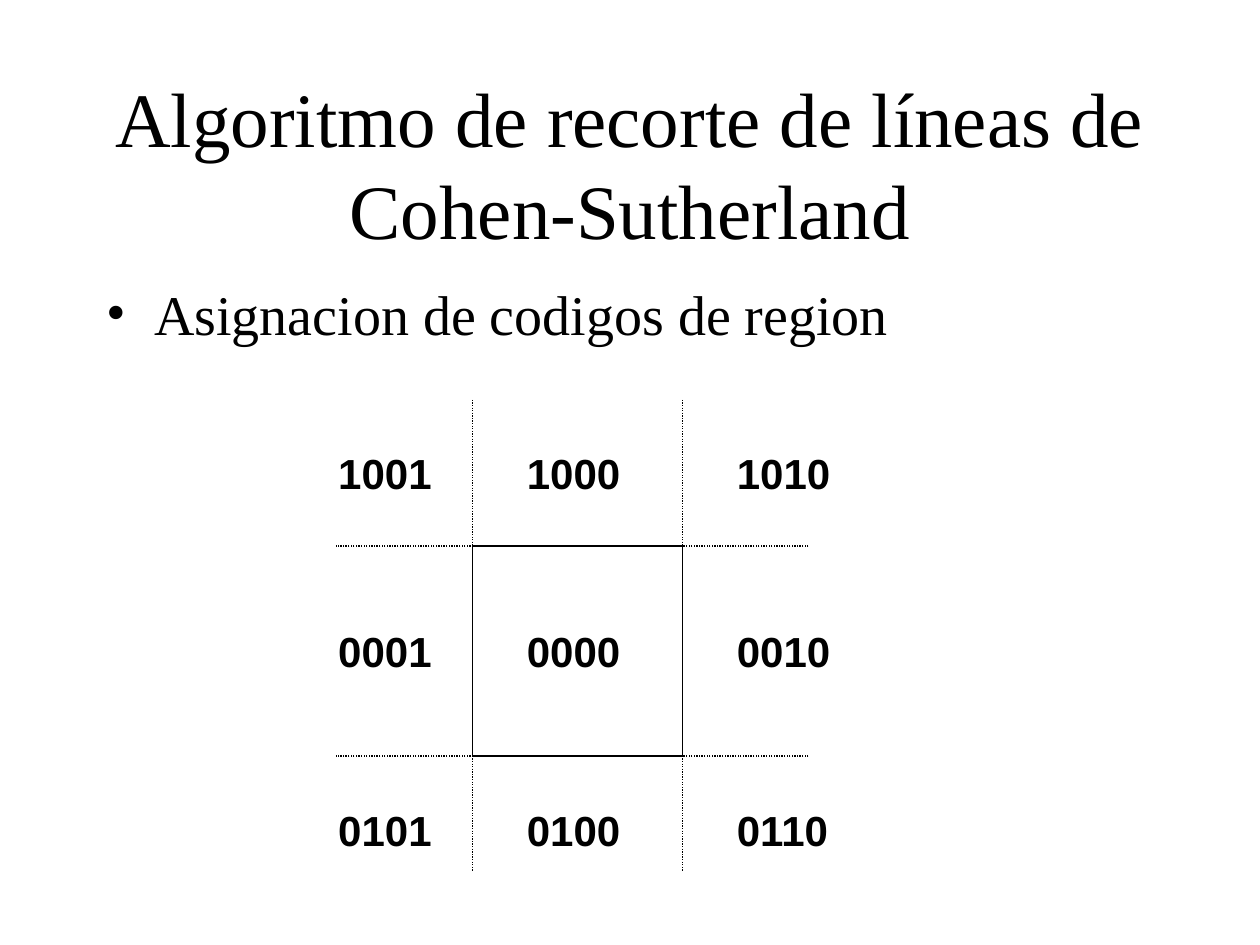
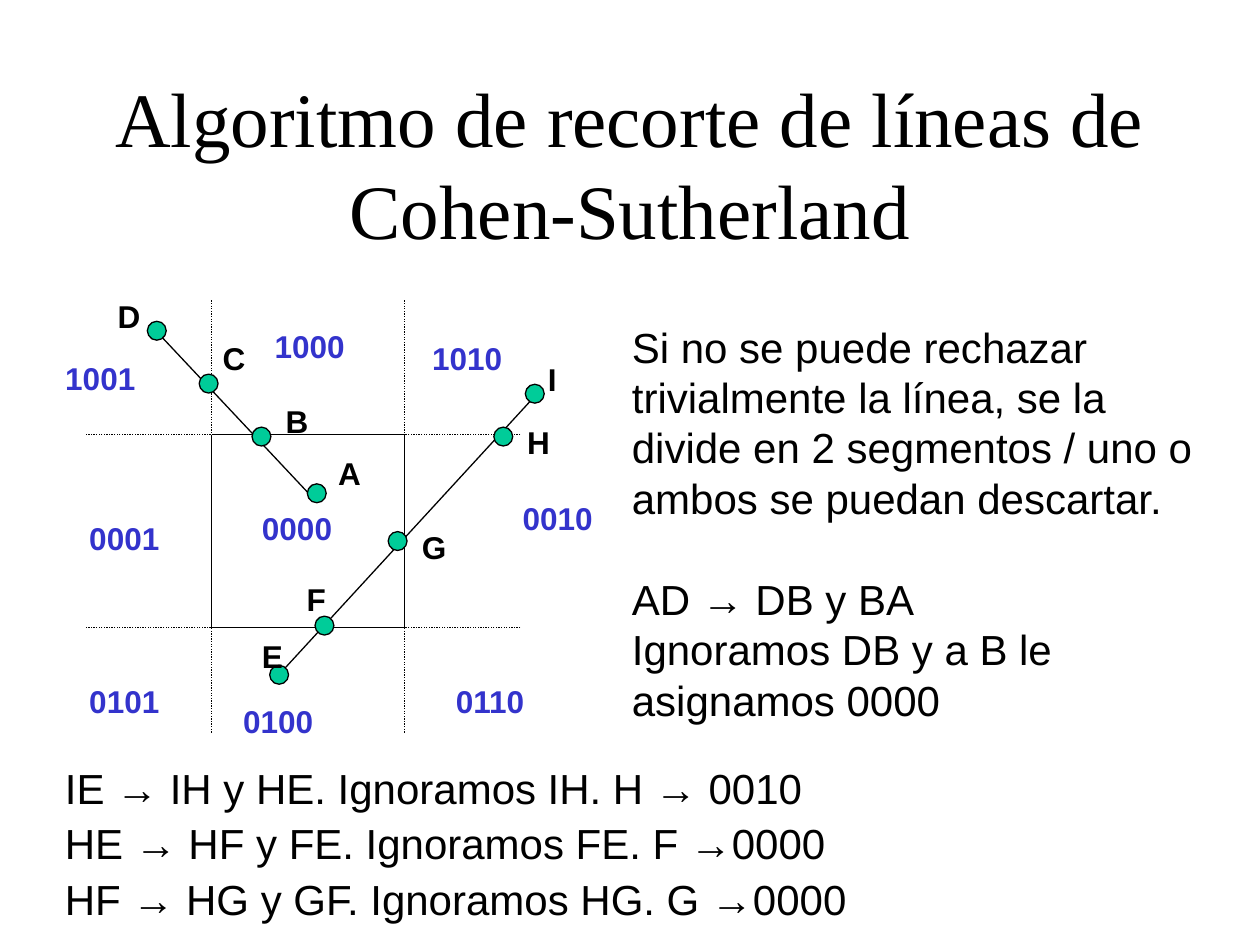
"""Builds two slides on Cohen-Sutherland line clipping."""
from lxml.etree import SubElement
from pptx import Presentation
from pptx.dml.color import RGBColor
from pptx.enum.dml import MSO_LINE
from pptx.enum.shapes import MSO_CONNECTOR, MSO_SHAPE
from pptx.enum.text import MSO_ANCHOR, PP_ALIGN
from pptx.oxml.ns import qn
from pptx.util import Pt

HUES = {"ink": "000000", "code": "3333CC", "dot": "00CC99"}
SERIF, SANS = "Times New Roman", "Arial"
TITLE = "Algoritmo de recorte de líneas de Cohen-Sutherland"
POINT = "Asignacion de codigos de region"

CODES = [["1001", "1000", "1010"],
         ["0001", "0000", "0010"],
         ["0101", "0100", "0110"]]
COLS, ROWS = (186.2, 294, 414), (252, 354, 456)

SPOTS = {"1001": (30.2, 201.6), "1000": (149.8, 183.6), "1010": (239.8, 190),
         "0001": (43.9, 293), "0000": (142.6, 287.3), "0010": (291.6, 281.5),
         "0101": (43.9, 386), "0100": (131.8, 397.4), "0110": (253.4, 386)}

# name: dot centre, label corner
ENDS = {"D": ((89.6, 189), (60.2, 166)),
        "C": ((119.2, 219.2), (120.2, 190)),
        "B": ((149.4, 249.5), (156.2, 226)),
        "A": ((181, 281.9), (186.2, 256)),
        "I": ((305.6, 225), (306, 202)),
        "H": ((287.6, 249.5), (294.2, 238)),
        "G": ((227.2, 309.2), (234, 298)),
        "F": ((185.4, 357.5), (168.2, 328)),
        "E": ((159.5, 385.6), (142.6, 360.7))}
LINES = [(90, 190, 181.4, 287.3), (306, 226, 159.1, 385.9)]
DOT = 10.8

RULE = ["Si no se puede rechazar trivialmente la línea, se la divide en 2 "
        "segmentos / uno o ambos se puedan descartar.",
        "AD → DB y BA",
        "Ignoramos DB y a B le asignamos 0000"]
STEPS = ["IE → IH y HE. Ignoramos IH. H → 0010",
         "HE → HF y FE. Ignoramos FE. F →0000",
         "HF → HG y GF. Ignoramos HG. G →0000"]


def hue(name):
    return RGBColor.from_string(HUES[name])


def write(slide, text, box, size=24, font=SANS, color="ink", bold=False,
          align=PP_ALIGN.LEFT, anchor=MSO_ANCHOR.TOP, gaps=(), bullet=None):
    frame = slide.shapes.add_textbox(*map(Pt, box)).text_frame
    frame.word_wrap, frame.vertical_anchor = True, anchor
    lines = [text] if isinstance(text, str) else text
    for n, line in enumerate(lines):
        para = frame.paragraphs[0] if n == 0 else frame.add_paragraph()
        para.alignment = align
        if n and gaps:
            para.space_before = Pt(gaps[n - 1])
        if bullet:
            props = para._p.get_or_add_pPr()
            props.set("marL", str(Pt(27)))
            props.set("indent", str(-Pt(27)))
            SubElement(props, qn("a:buFont"), typeface=font)
            SubElement(props, qn("a:buChar"), char=bullet)
        para.font.size = Pt(size)
        run = para.add_run()
        run.text = line
        run.font.name, run.font.size, run.font.bold = font, Pt(size), bold
        run.font.color.rgb = hue(color)


def stroke(slide, ends, dash=None):
    line = slide.shapes.add_connector(MSO_CONNECTOR.STRAIGHT, *map(Pt, ends))
    line.line.color.rgb, line.line.width = hue("ink"), Pt(0.75)
    if dash:
        line.line.dash_style = dash
    SubElement(line._element.spPr, qn("a:effectLst"))


def grid(slide, left, top, side):
    unit = side / 120
    right, base = left + side, top + side
    west, east = left - 78 * unit, right + 72 * unit
    north, south = top - 83.5 * unit, base + 66 * unit
    for x in (left, right):
        stroke(slide, (x, north, x, south), MSO_LINE.ROUND_DOT)
        stroke(slide, (x, top, x, base))
    for y in (top, base):
        stroke(slide, (east, y, west, y), MSO_LINE.ROUND_DOT)
        stroke(slide, (left, y, right, y))


def start(deck):
    slide = deck.slides.add_slide(deck.slide_layouts[6])
    write(slide, TITLE, (54, 48, 612, 90), size=44, font=SERIF,
          align=PP_ALIGN.CENTER, anchor=MSO_ANCHOR.MIDDLE)
    return slide


def regions(deck):
    slide = start(deck)
    write(slide, POINT, (54, 156, 612, 324), size=32, font=SERIF, bullet="•")
    grid(slide, 270, 312, 120)
    for y, row in zip(ROWS, CODES):
        for x, code in zip(COLS, row):
            write(slide, code, (x, y, 72, 36), bold=True)


def clipping(deck):
    slide = start(deck)
    write(slide, RULE, (354, 180, 348, 237.6), gaps=(29, 0))
    grid(slide, 121, 248.4, 110.2)
    for ends in LINES:
        stroke(slide, ends)
    for code, (x, y) in SPOTS.items():
        write(slide, code, (x, y, 60, 28.8), size=18, color="code", bold=True)
    for name, ((x, y), spot) in ENDS.items():
        dot = slide.shapes.add_shape(MSO_SHAPE.OVAL, Pt(x - DOT / 2),
                                     Pt(y - DOT / 2), Pt(DOT), Pt(DOT))
        dot.shadow.inherit = False
        dot.fill.solid()
        dot.fill.fore_color.rgb = hue("dot")
        dot.line.color.rgb, dot.line.width = hue("ink"), Pt(0.75)
        write(slide, name, (*spot, 30, 28.8), size=18, bold=True)
    write(slide, STEPS, (30, 432, 660, 100), gaps=(3, 3))


def main():
    deck = Presentation()
    deck.slide_width, deck.slide_height = Pt(720), Pt(540)
    regions(deck)
    clipping(deck)
    deck.save("out.pptx")


if __name__ == "__main__":
    main()
